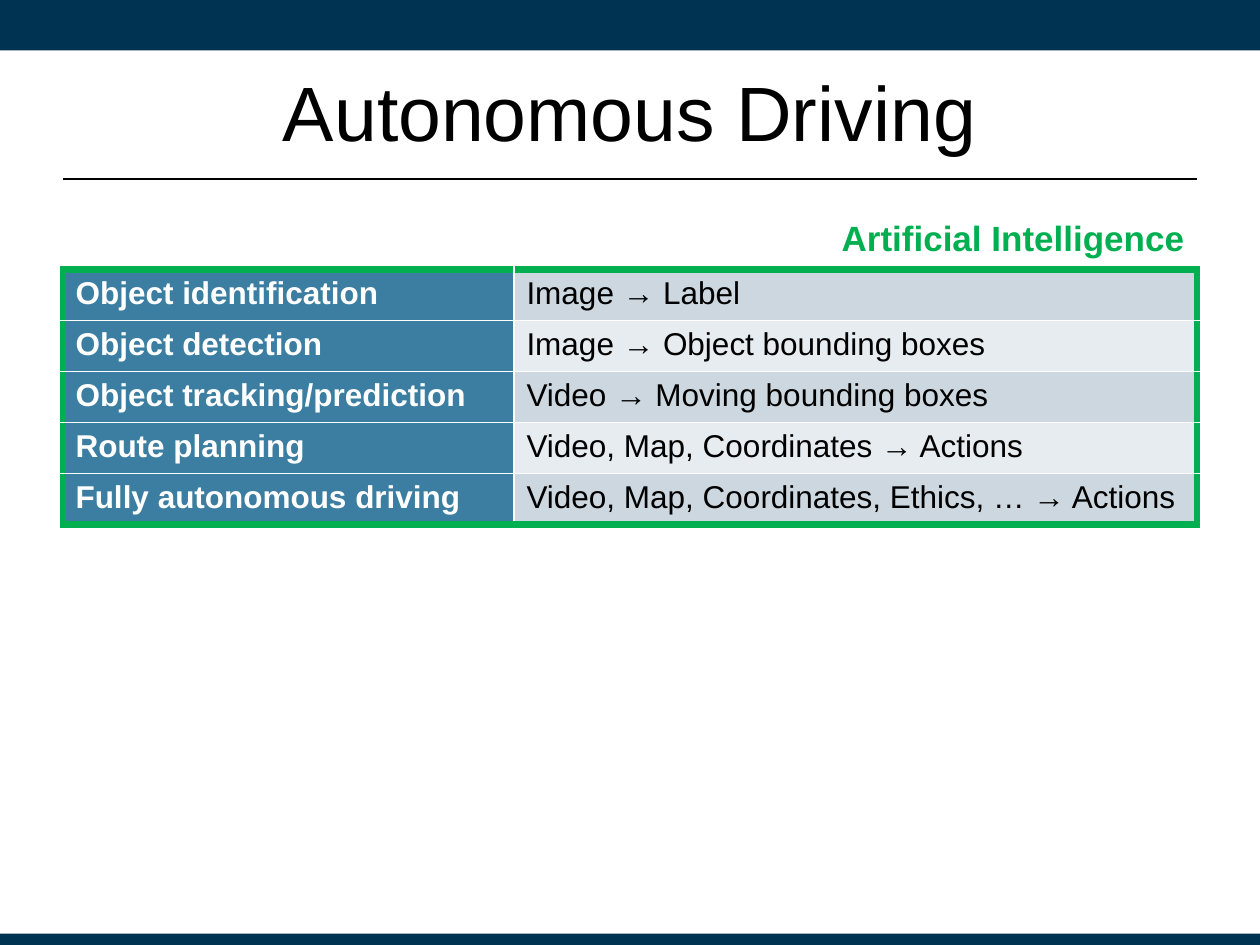
from dataclasses import dataclass

from lxml.etree import SubElement
from pptx import Presentation
from pptx.dml.color import RGBColor as RGB
from pptx.enum.shapes import MSO_CONNECTOR as CONNECTOR, MSO_SHAPE as SHAPE
from pptx.enum.text import MSO_ANCHOR as ANCHOR, PP_ALIGN as ALIGN
from pptx.oxml import parse_xml
from pptx.oxml.ns import nsdecls, qn
from pptx.util import Cm, Pt


@dataclass(frozen=True)
class Theme:
    """Colours, font and type sizes of the slide."""
    font: str = "Arial"
    navy: str = "003252"
    blue: str = "3B7EA1"
    green: str = "00B050"
    black: str = "000000"
    white: str = "FFFFFF"
    bands: tuple = ("CDD7DF", "E7ECF0")
    title: int = 44
    label: int = 20
    body: int = 18
    frame: float = 4.5
    grid: float = 1
    rule: float = 1.25


T = Theme()
TASKS = [
    ("Object identification", "Image → Label"),
    ("Object detection", "Image → Object bounding boxes"),
    ("Object tracking/prediction", "Video → Moving bounding boxes"),
    ("Route planning", "Video, Map, Coordinates → Actions"),
    ("Fully autonomous driving", "Video, Map, Coordinates, Ethics, … → Actions"),
]


def write(tf, text, size, color, bold=False, align=ALIGN.LEFT):
    """Put one formatted run into a text frame."""
    p = tf.paragraphs[0]
    p.alignment = align
    r = p.add_run()
    r.text = text
    for name, value in {"name": T.font, "size": Pt(size), "bold": bold}.items():
        setattr(r.font, name, value)
    r.font.color.rgb = RGB.from_string(color)


def add_text(s, box, text, inset, anchor, **style):
    """Add a wrapped text box with equal top and bottom insets."""
    tf = s.shapes.add_textbox(*map(Cm, box)).text_frame
    frame = {"word_wrap": True, "vertical_anchor": anchor,
             "margin_top": Cm(inset), "margin_bottom": Cm(inset)}
    for name, value in frame.items():
        setattr(tf, name, value)
    write(tf, text, **style)


def add_band(s, box):
    """Add a navy band across the slide."""
    sp = s.shapes.add_shape(SHAPE.RECTANGLE, *map(Cm, box))
    sp.shadow.inherit = False
    sp.fill.solid()
    sp.fill.fore_color.rgb = RGB.from_string(T.navy)
    sp.line.fill.background()


def add_header(s, box):
    """Add the title and the rule near the bottom of its box."""
    x, y, w, h = box
    rule_y = Cm(y + h - 0.2)
    line = s.shapes.add_connector(CONNECTOR.STRAIGHT, Cm(x), rule_y, Cm(x + w), rule_y)
    line.line.width = Pt(T.rule)
    line.line.color.rgb = RGB.from_string(T.black)
    SubElement(line._element.spPr, qn("a:effectLst"))
    add_text(s, box, "Autonomous Driving", 0.13, ANCHOR.MIDDLE,
             size=T.title, color=T.black, align=ALIGN.CENTER)


def set_borders(cell, outer):
    """Draw green borders on the outer sides and white ones elsewhere."""
    tc_pr = cell._tc.get_or_add_tcPr()
    for i, side in enumerate("LRTB"):
        width, color = (T.frame, T.green) if side in outer else (T.grid, T.white)
        tc_pr.insert(i, parse_xml(
            f'<a:ln{side} {nsdecls("a")} w="{Pt(width)}"><a:solidFill>'
            f'<a:srgbClr val="{color}"/></a:solidFill></a:ln{side}>'))


def add_tasks(s, box):
    """Add the table of tasks with its label right-aligned above."""
    x, y, w, h = box
    label_w, label_h = 9.83, 1.02
    table_y = y + 1.32
    row_h = (h - 1.32) / len(TASKS)
    table = s.shapes.add_table(len(TASKS), 2, Cm(x), Cm(table_y), Cm(w),
                               Cm(row_h * len(TASKS))).table
    for col, width in zip(table.columns, (9.09, w - 9.09)):
        col.width = Cm(width)
    for i, task in enumerate(TASKS):
        table.rows[i].height = Cm(row_h)
        for j, text in enumerate(task):
            cell = table.cell(i, j)
            cell.fill.solid()
            cell.fill.fore_color.rgb = RGB.from_string(T.bands[i % 2] if j else T.blue)
            write(cell.text_frame, text, T.body, T.black if j else T.white, bold=j == 0)
            outer = "LR"[j] + "T" * (i == 0) + "B" * (i == len(TASKS) - 1)
            set_borders(cell, outer)
    add_text(s, (x + w - label_w, y, label_w, label_h), "Artificial Intelligence", 0.25,
             ANCHOR.TOP, size=T.label, color=T.green, bold=True, align=ALIGN.RIGHT)


def main():
    """Build and save the slide."""
    prs = Presentation()
    width, height, margin = 25.4, 19.05, 1.27
    prs.slide_width, prs.slide_height = Cm(width), Cm(height)
    s = prs.slides.add_slide(prs.slide_layouts[6])
    inner = width - 2 * margin
    add_band(s, (0, 0, width, 1.02))
    add_band(s, (0, height - 0.23, width, 0.23))
    add_header(s, (margin, 0.64, inner, 3.17))
    add_tasks(s, (margin, 4.11, inner, 6.47))
    prs.save("out.pptx")


if __name__ == "__main__":
    main()
